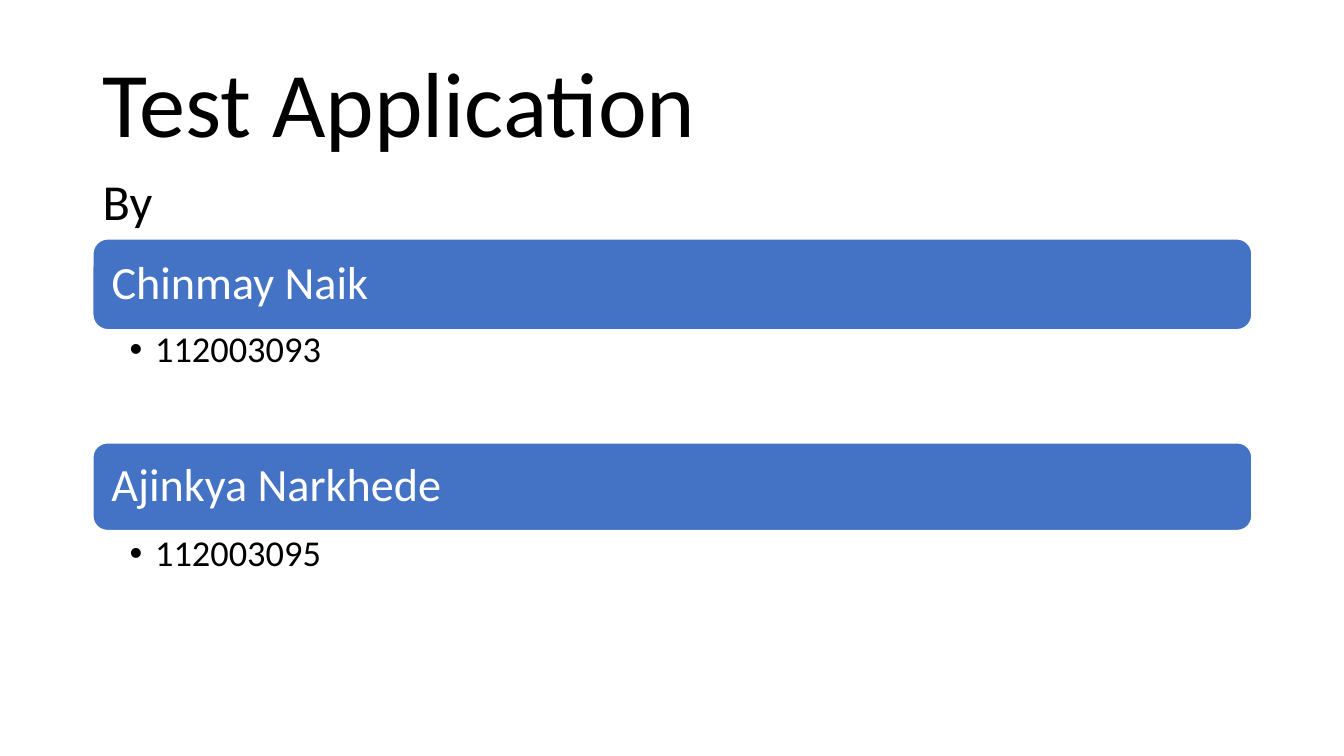
from lxml.etree import SubElement
from pptx import Presentation
from pptx.dml.color import RGBColor
from pptx.enum.shapes import MSO_SHAPE
from pptx.enum.text import MSO_ANCHOR, PP_ALIGN
from pptx.oxml.ns import qn
from pptx.util import Cm, Pt

FONT = "Calibri"
BLACK, WHITE, BLUE = "000000", "FFFFFF", "4472C4"
LEFT, WIDTH = 2.34, 29.21


def color(value):
    return RGBColor.from_string(value)


def write(sp, text, size, fill=BLACK, anchor=MSO_ANCHOR.TOP, spacing=0.9,
          insets=(0.25, 0.13, 0.25, 0.13), bullet=False):
    tf = sp.text_frame
    tf.word_wrap = True
    tf.vertical_anchor = anchor
    tf.margin_left, tf.margin_top, tf.margin_right, tf.margin_bottom = map(Cm, insets)
    p = tf.paragraphs[0]
    p.alignment = PP_ALIGN.LEFT
    p.line_spacing = spacing
    r = p.add_run()
    r.text = text
    r.font.name, r.font.size = FONT, Pt(size)
    r.font.color.rgb = color(fill)
    if bullet:
        pPr = p._p.get_or_add_pPr()
        pPr.set("marL", str(Cm(0.64)))
        pPr.set("indent", str(-Cm(0.64)))
        SubElement(pPr, qn("a:buFont"), typeface="Arial")
        SubElement(pPr, qn("a:buChar"), char="•")


def add_text(s, box, text, size, **fmt):
    write(s.shapes.add_textbox(*map(Cm, box)), text, size, **fmt)


def add_heading(s, left, top, width):
    add_text(s, (left, top, width, 3.68), "Test Application", 66,
             anchor=MSO_ANCHOR.MIDDLE)
    add_text(s, (left, top + 3.3, 3.07, 1.8), "By", 36, spacing=1.0)


def add_author(s, left, top, width, bar_height, name, number):
    bar = s.shapes.add_shape(MSO_SHAPE.ROUNDED_RECTANGLE,
                             *map(Cm, (left, top, width, bar_height)))
    bar.shadow.inherit = False
    bar.fill.solid()
    bar.fill.fore_color.rgb = color(BLUE)
    bar.line.color.rgb = color(WHITE)
    bar.line.width = Pt(1)
    write(bar, name, 33, fill=WHITE, anchor=MSO_ANCHOR.MIDDLE,
          insets=(0.36, 0.36, 0.36, 0.36))
    add_text(s, (left, top + 2.2, width, 2.95), number, 26,
             insets=(0.93, 0.13, 0.66, 0.13), bullet=True)


prs = Presentation()
prs.slide_width, prs.slide_height = Cm(33.87), Cm(19.05)
s = prs.slides.add_slide(prs.slide_layouts[6])

add_heading(s, LEFT, 0.86, WIDTH)
authors = [("Chinmay Naik", "112003093", 2.29), ("Ajinkya Narkhede", "112003095", 2.21)]
for i, (name, number, bar_height) in enumerate(authors):
    add_author(s, LEFT, 6.02 + i * 5.14, WIDTH, bar_height, name, number)

prs.save("out.pptx")
